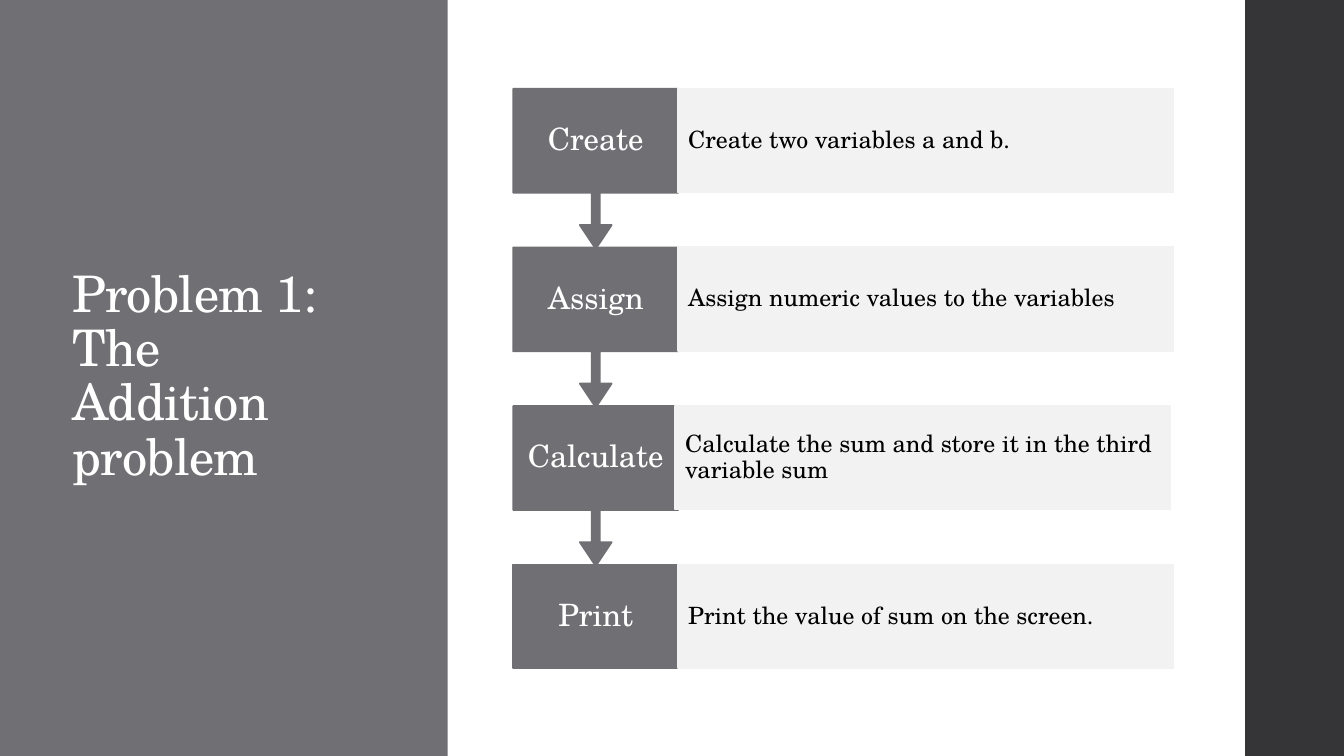
from dataclasses import dataclass

from pptx import Presentation
from pptx.dml.color import RGBColor
from pptx.enum.shapes import MSO_SHAPE as Shape
from pptx.enum.text import MSO_ANCHOR as Anchor, PP_ALIGN as Align
from pptx.util import Inches, Pt


@dataclass(frozen=True)
class Theme:
    font: str = "TeX Gyre Schola"
    gray: str = "6F6F74"
    dark: str = "353537"
    panel: str = "F2F2F2"
    white: str = "FFFFFF"
    black: str = "000000"
    title_size: float = 36
    step_size: float = 22
    detail_size: float = 17
    outline: float = 1.1


@dataclass(frozen=True)
class Box:
    left: float
    top: float
    width: float
    height: float

    def lengths(self):
        return [Inches(n) for n in (self.left, self.top, self.width, self.height)]


THEME = Theme()
# Step name, description, sideways shift of the description panel
STEPS = [
    ("Create", "Create two variables a and b.", 0),
    ("Assign", "Assign numeric values to the variables", 0),
    ("Calculate", "Calculate the sum and store it in the third variable sum", -0.03),
    ("Print", "Print the value of sum on the screen.", 0),
]


def add_block(page, kind, box, color, outlined=False):
    block = page.shapes.add_shape(kind, *box.lengths())
    block.shadow.inherit = False
    block.fill.solid()
    block.fill.fore_color.rgb = RGBColor.from_string(color)
    if outlined:
        block.line.color.rgb = RGBColor.from_string(color)
        block.line.width = Pt(THEME.outline)
    else:
        block.line.fill.background()
    return block


def write(shape, text, size, color, align=Align.LEFT, side=0.1, ends=0.05):
    frame = shape.text_frame
    frame.word_wrap = True
    frame.vertical_anchor = Anchor.MIDDLE
    frame.margin_left = frame.margin_right = Inches(side)
    frame.margin_top = frame.margin_bottom = Inches(ends)
    para = frame.paragraphs[0]
    para.text = text
    para.alignment = align
    para.line_spacing = 0.9
    para.font.name = THEME.font
    para.font.size = Pt(size)
    para.font.color.rgb = RGBColor.from_string(color)
    return para


def add_title_panel(page, box):
    add_block(page, Shape.RECTANGLE, box, THEME.gray)
    title_box = Box(box.left + 0.62, box.top + 0.91, box.width - 1.47, 5.67)
    title = page.shapes.add_textbox(*title_box.lengths())
    para = write(title, "Problem 1: The Addition problem", THEME.title_size, THEME.white)
    # Slightly tightened letters
    para.runs[0].font._element.set("spc", "-50")


def add_step(page, box, name, detail, shift, has_arrow):
    name_width = box.width / 4
    # Step name, with an arrow down to the next step
    if has_arrow:
        name_box = Box(box.left, box.top, name_width, 1.59)
        label = add_block(page, Shape.DOWN_ARROW_CALLOUT, name_box, THEME.gray, True)
        for index, value in enumerate((0.05, 0.1, 0.15, 0.65)):
            label.adjustments[index] = value
    else:
        name_box = Box(box.left, box.top, name_width, box.height)
        label = add_block(page, Shape.RECTANGLE, name_box, THEME.gray, True)
    write(label, name, THEME.step_size, THEME.white, Align.CENTER, 0.12, 0.17)

    # Description
    panel_box = Box(box.left + name_width + shift, box.top, box.width - name_width, box.height)
    panel = add_block(page, Shape.RECTANGLE, panel_box, THEME.panel, True)
    write(panel, detail, THEME.detail_size, THEME.black, side=0.1, ends=0.24)


def add_flow(page, box):
    step_height = 1.03
    pitch = (box.height - step_height) / (len(STEPS) - 1)
    last = len(STEPS) - 1
    # The last step lies at the back, so each arrow tip covers the step below
    for index in range(last, -1, -1):
        step_box = Box(box.left, box.top + index * pitch, box.width, step_height)
        add_step(page, step_box, *STEPS[index], has_arrow=index < last)


def main():
    deck = Presentation()
    deck.slide_width = Inches(13.33)
    deck.slide_height = Inches(7.5)
    page = deck.slides.add_slide(deck.slide_layouts[6])
    add_title_panel(page, Box(0, 0, 4.44, 7.5))
    add_block(page, Shape.RECTANGLE, Box(12.35, 0, 0.98, 7.5), THEME.dark)
    add_flow(page, Box(5.09, 0.88, 6.55, 5.75))
    deck.save("out.pptx")


if __name__ == "__main__":
    main()
